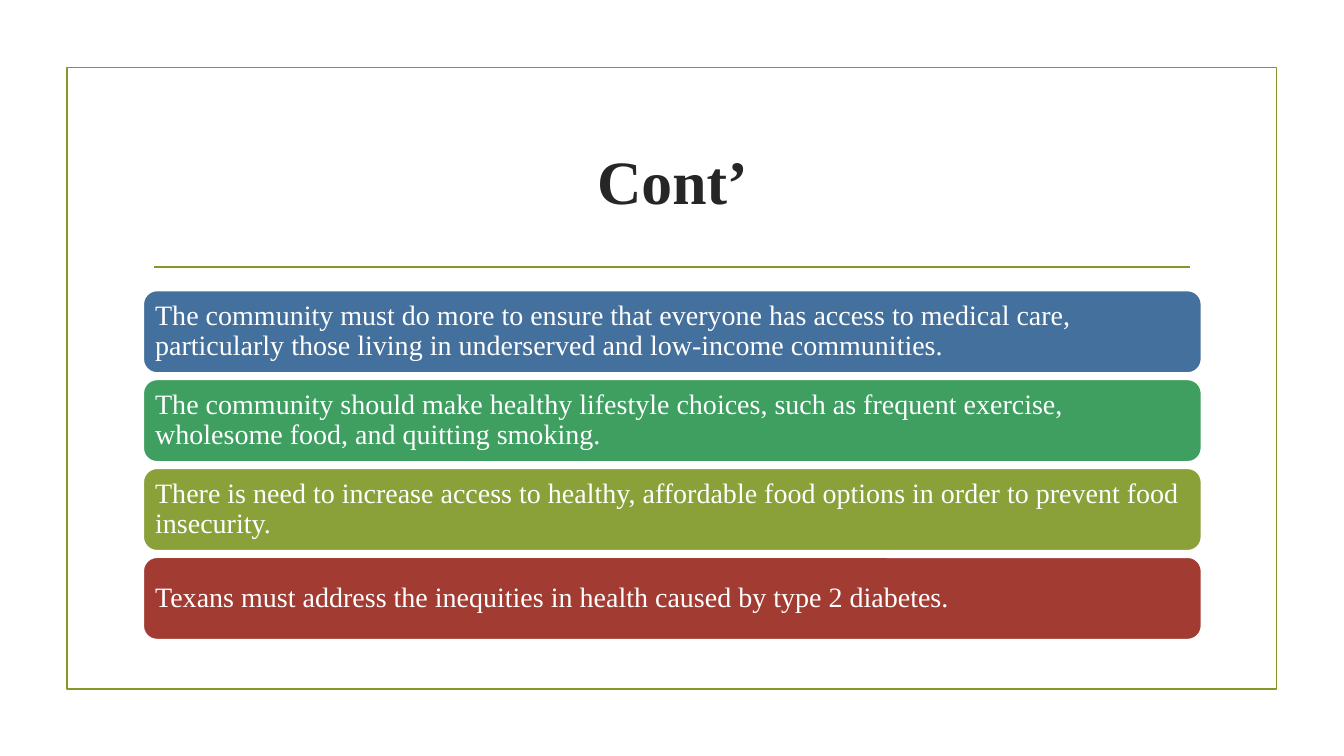
from lxml import etree
from pptx import Presentation
from pptx import util as u
from pptx.dml.color import RGBColor
from pptx.enum import shapes, text
from pptx.oxml import ns

OLIVE = RGBColor(0x83, 0x99, 0x2A)
INK = RGBColor(0x26, 0x26, 0x26)
WHITE = RGBColor(0xFF, 0xFF, 0xFF)
BLUE = RGBColor(0x44, 0x70, 0x9D)
GREEN = RGBColor(0x3E, 0x9F, 0x61)
MOSS = RGBColor(0x89, 0xA1, 0x38)
RED = RGBColor(0xA2, 0x3C, 0x33)

BANNERS = [
    ("The community must do more to ensure that everyone has access to medical care, "
     "particularly those living in underserved and low-income communities.", BLUE),
    ("The community should make healthy lifestyle choices, such as frequent exercise, "
     "wholesome food, and quitting smoking.", GREEN),
    ("There is need to increase access to healthy, affordable food options in order "
     "to prevent food insecurity.", MOSS),
    ("Texans must address the inequities in health caused by type 2 diabetes.", RED),
]
LEFT, WIDTH = 3.61, 26.67
FIRST_TOP, HEIGHT, PITCH = 7.32, 2.08, 2.24


def write(box, words, size, color, bold=False, align=text.PP_ALIGN.LEFT,
          spacing=1.0, inset=0.25):
    """Fill a shape with one formatted, vertically centred paragraph."""
    frame = box.text_frame
    frame.word_wrap = True
    frame.vertical_anchor = text.MSO_ANCHOR.MIDDLE
    frame.margin_left = frame.margin_right = u.Cm(inset)
    frame.margin_top = frame.margin_bottom = u.Cm(inset)
    para = frame.paragraphs[0]
    para.alignment = align
    para.line_spacing = spacing
    span = para.add_run()
    span.text = words
    span.font.name = "Times New Roman"
    span.font.size = u.Pt(size)
    span.font.bold = bold
    span.font.color.rgb = color


class Painter:
    """Hold the line style and the current page, and draw its elements."""

    def __init__(self, page, line_width=1.25):
        self.page = page
        self.line_width = u.Pt(line_width)

    def panel(self, kind, left, top, width, height, line, fill=None):
        box = self.page.shapes.add_shape(
            kind, u.Cm(left), u.Cm(top), u.Cm(width), u.Cm(height))
        box.shadow.inherit = False
        box.line.color.rgb = line
        box.line.width = self.line_width
        if fill is None:
            box.fill.background()
        else:
            box.fill.solid()
            box.fill.fore_color.rgb = fill
        return box

    def rule(self, left, right, top, color):
        line = self.page.shapes.add_connector(
            shapes.MSO_CONNECTOR.STRAIGHT, u.Cm(left), u.Cm(top), u.Cm(right), u.Cm(top))
        line.line.color.rgb = color
        line.line.width = self.line_width
        etree.SubElement(line._element.spPr, ns.qn("a:effectLst"))

    def title(self, words, left, top, width, height):
        box = self.page.shapes.add_textbox(
            u.Cm(left), u.Cm(top), u.Cm(width), u.Cm(height))
        write(box, words, 44, INK, bold=True, align=text.PP_ALIGN.CENTER)

    def banner(self, words, top, fill):
        box = self.panel(shapes.MSO_SHAPE.ROUNDED_RECTANGLE,
                         LEFT, top, WIDTH, HEIGHT, WHITE, fill)
        write(box, words, 20, WHITE, spacing=0.9, inset=0.2)


def main():
    """Build the slide and save the deck."""
    deck = Presentation()
    deck.slide_width, deck.slide_height = u.Cm(33.87), u.Cm(19.05)
    painter = Painter(deck.slides.add_slide(deck.slide_layouts[6]))
    painter.panel(shapes.MSO_SHAPE.RECTANGLE, 1.69, 1.7, 30.48, 15.67, OLIVE)
    painter.rule(3.89, 30, 6.73, OLIVE)
    painter.title("Cont’", LEFT, 2.72, WIDTH, 3.63)
    for index, (words, fill) in enumerate(BANNERS):
        painter.banner(words, FIRST_TOP + index * PITCH, fill)
    deck.save("out.pptx")


if __name__ == "__main__":
    main()
